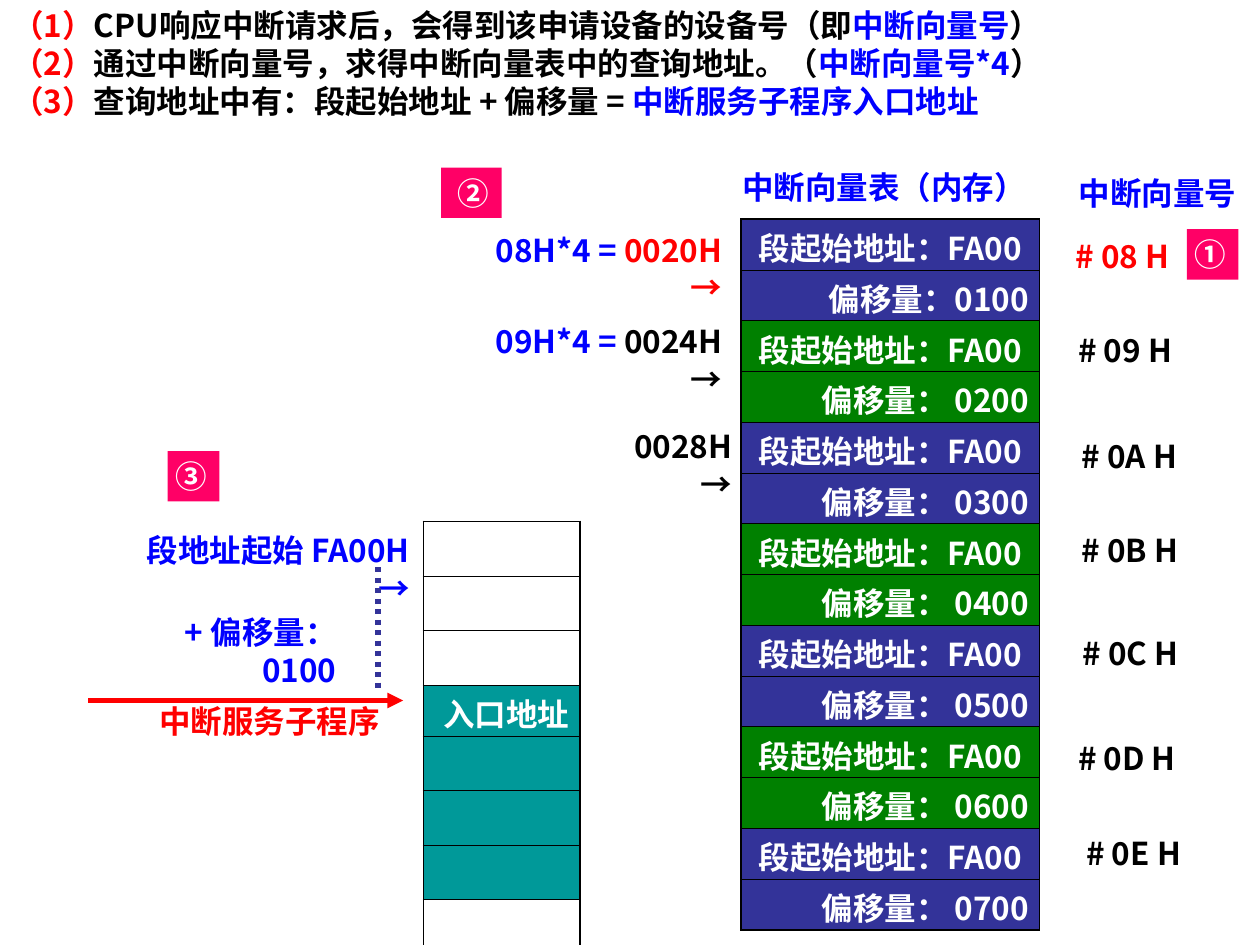
from lxml.etree import SubElement, fromstring
from pptx import Presentation
from pptx.dml.color import RGBColor
from pptx.enum.dml import MSO_LINE
from pptx.enum.shapes import MSO_CONNECTOR, MSO_SHAPE
from pptx.enum.text import MSO_ANCHOR, PP_ALIGN
from pptx.oxml.ns import nsdecls, qn
from pptx.util import Pt

FONT = "Noto Sans CJK SC"
RED, BLUE, BLACK, WHITE = "FF0000", "0000FF", "000000", "FFFFFF"
NAVY, GREEN, TEAL, PINK = "333399", "008000", "009999", "FF0066"
LEFT, MID, RIGHT = PP_ALIGN.LEFT, PP_ALIGN.CENTER, PP_ALIGN.RIGHT
hue = RGBColor.from_string


def write(frame, lines, align=RIGHT):
    """Fill a frame; each line is a list of (text, colour), "\\v" breaks it."""
    for i, parts in enumerate(lines):
        para = frame.add_paragraph() if i else frame.paragraphs[0]
        para.alignment = align
        para.line_spacing = Pt(21.6)
        for text, color in parts:
            for j, piece in enumerate(text.split("\v")):
                if j:
                    para.add_line_break()
                run = para.add_run()
                run.text = piece
                run.font.size = Pt(18)
                run.font.bold = True
                run.font.color.rgb = hue(color)
                run.font.name = FONT
                SubElement(run.font._element, qn("a:ea"), typeface=FONT)


def block(x, y, w, h, fill):
    shape = slide.shapes.add_shape(MSO_SHAPE.RECTANGLE, Pt(x), Pt(y), Pt(w), Pt(h))
    shape.shadow.inherit = False
    shape.fill.solid()
    shape.fill.fore_color.rgb = hue(fill)
    shape.line.fill.background()
    shape.text_frame.vertical_anchor = MSO_ANCHOR.TOP
    return shape.text_frame


deck = Presentation()
deck.slide_width, deck.slide_height = Pt(720), Pt(540)
slide = deck.slides.add_slide(deck.slide_layouts[6])

# Steps at the top
steps = [
    [("（1）", RED), ("CPU响应中断请求后，会得到该申请设备的设备号（即", BLACK),
     ("中断向量号", BLUE), ("）", BLACK)],
    [("（2）", RED), ("通过中断向量号，求得中断向量表中的查询地址。（", BLACK),
     ("中断向量号*4", BLUE), ("）", BLACK)],
    [("（3）", RED), ("查询地址中有：段起始地址 + 偏移量 = ", BLACK),
     ("中断服务子程序入口地址", BLUE)],
]
write(block(0, 0, 720, 93.6, WHITE), steps, LEFT)

# Vector table and service routine: rows of (text, align, fill, height)
vectors = []
for n in range(1, 8):
    fill = NAVY if n % 2 else GREEN
    gap = "" if n == 1 else " "
    vectors.append(("段起始地址：FA00", MID, fill, 29))
    vectors.append((f"偏移量：{gap}0{n}00", RIGHT, fill, 29))
routine = [("", RIGHT, WHITE, 31.2)] * 3 + [("入口地址", RIGHT, TEAL, 29)]
routine += [("", RIGHT, TEAL, 31.2)] * 3 + [("", RIGHT, WHITE, 29)]

for x, y, w, rows in [(423.4, 125.3, 170.6, vectors), (242, 298, 89.3, routine)]:
    high = sum(row[3] for row in rows)
    grid = slide.shapes.add_table(len(rows), 1, Pt(x), Pt(y), Pt(w), Pt(high)).table
    grid.first_row = grid.horz_banding = False
    for i, (text, align, fill, height) in enumerate(rows):
        grid.rows[i].height = Pt(height)
        cell = grid.cell(i, 0)
        cell.margin_left = cell.margin_right = Pt(6)
        cell.margin_top, cell.margin_bottom = Pt(7.2), Pt(0)
        cell.fill.solid()
        cell.fill.fore_color.rgb = hue(fill)
        if text:
            write(cell.text_frame, [[(text, WHITE)]], align)
        top = 1.08 if i == 0 else 0.45
        base = 1.08 if i == len(rows) - 1 else 0.45
        edges = [("L", 1.08), ("R", 1.08), ("T", top), ("B", base)]
        for k, (side, width) in enumerate(edges):
            cell._tc.get_or_add_tcPr().insert(k, fromstring(
                f'<a:ln{side} {nsdecls("a")} w="{Pt(width)}"><a:solidFill>'
                f'<a:srgbClr val="{BLACK}"/></a:solidFill></a:ln{side}>'))

# Labels: x, y, width, wrap, parts
labels = [
    (256.3, 128.2, 163.5, True, [("08H*4 = ", BLUE), ("0020H\v→", RED)]),
    (256.3, 180.7, 163.5, True, [("09H*4 =", BLUE), (" 0024H\v→", BLACK)]),
    (336.2, 240.5, 89.3, True, [("0028H\v→", BLACK)]),
    (416.9, 92.2, 176.4, False, [("中断向量表（内存）", BLUE)]),
    (609.1, 95.8, 104.4, False, [("中断向量号", BLUE)]),
    (54, 397.4, 170, True, [("中断服务子程序", RED)]),
    (51.8, 300.2, 189.4, True, [("段地址起始 FA00H\v→", BLUE)]),
    (48.2, 347, 151.2, True, [("+ 偏移量：\v0100", BLUE)]),
]
spots = [(604.8, 131.8), (606.2, 185.8), (609.1, 246.2), (609.8, 300.2),
         (609.8, 358.6), (608.4, 419), (611.3, 473)]
for i, (x, y) in enumerate(spots):
    code = f"# {i + 8:02X} H"
    labels.append((x, y, 70.6, False, [(code, BLACK if i else RED)]))
for x, y, w, wrap, parts in labels:
    box = slide.shapes.add_textbox(Pt(x), Pt(y), Pt(w), Pt(28.8))
    box.text_frame.word_wrap = wrap
    write(box.text_frame, [parts])

# Dotted guide and entry arrow
for x1, y1, x2, y2, color in [(216, 324, 216, 396, NAVY), (50.4, 400.3, 230.4, 400.3, RED)]:
    line = slide.shapes.add_connector(
        MSO_CONNECTOR.STRAIGHT, Pt(x1), Pt(y1), Pt(x2), Pt(y2))
    line.line.width = Pt(3)
    line.line.color.rgb = hue(color)
    if color == NAVY:
        line.line.dash_style = MSO_LINE.ROUND_DOT
    else:
        SubElement(line.line._get_or_add_ln(), qn("a:tailEnd"), type="triangle")
    SubElement(line._element.spPr, qn("a:effectLst"))

# Step badges
for sign, x, y, w in [("①", 678.2, 131, 29.5), ("②", 252, 95.8, 34.6), ("③", 95.8, 257.8, 29.5)]:
    frame = block(x, y, w, 28.8, PINK)
    frame.word_wrap = sign == "②"
    write(frame, [[(sign, WHITE)]])

deck.save("out.pptx")
